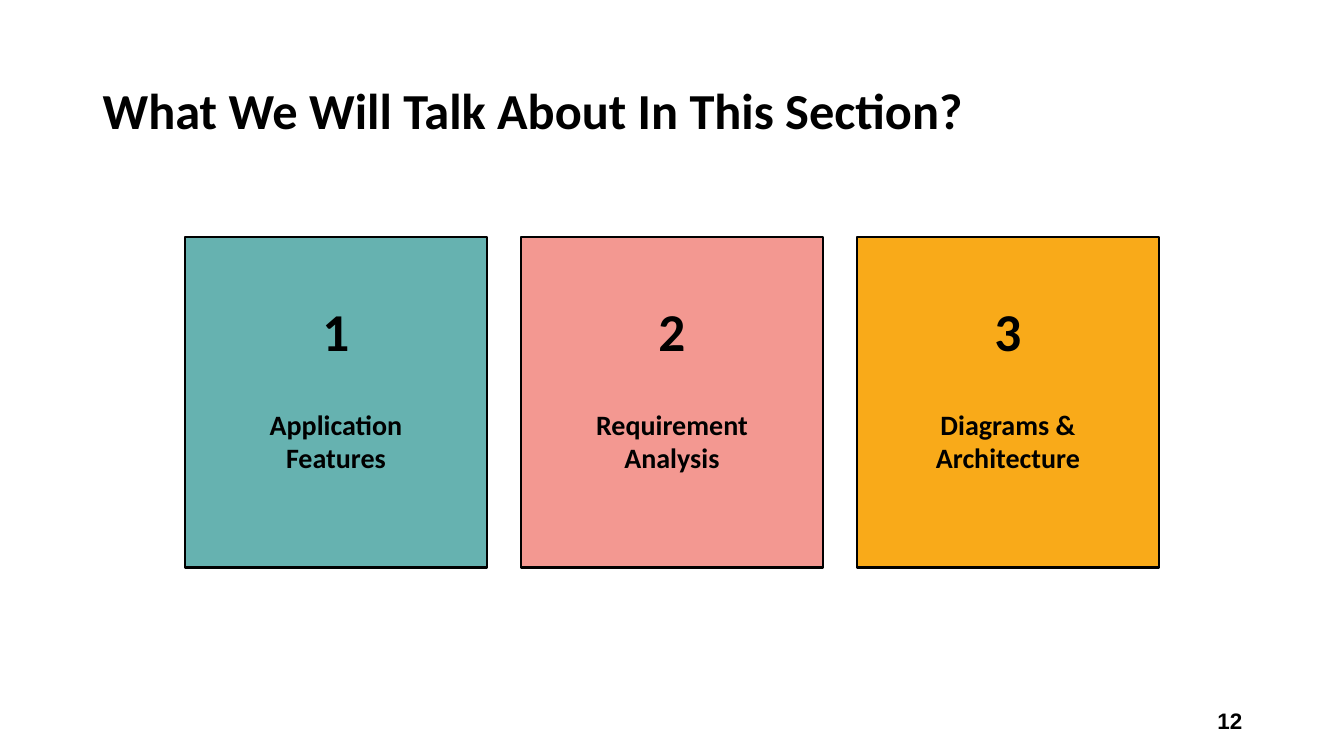
from pptx import Presentation
from pptx.dml.color import RGBColor
from pptx.enum.shapes import MSO_SHAPE
from pptx.enum.text import MSO_ANCHOR, PP_ALIGN
from pptx.util import Inches, Pt

TITLE = "What We Will Talk About In This Section?"
PAGE_NUMBER = "12"
TOPICS = [
    ("1", "Application Features", "66B2B0"),
    ("2", "Requirement Analysis", "F39891"),
    ("3", "Diagrams & Architecture", "F9AA19"),
]
INK = "000000"
WIDTH, HEIGHT = 13.33, 7.5
COLUMN = WIDTH / 40
FIRST_CARD, CARD_SPAN, CARD_PITCH = 5.5, 9, 10
CARD_TOP, CARD_HEIGHT = 2.35, 3.28
LABEL_TOP, LABEL_HEIGHT, LABEL_INDENT = 3.99, 0.8, 0.25


def color(value):
    return RGBColor.from_string(value)


def write(box, text, size, align, anchor=MSO_ANCHOR.TOP, spacing=1.0, font="Calibri"):
    frame = box.text_frame
    frame.word_wrap = True
    frame.vertical_anchor = anchor
    frame.text = text
    para = frame.paragraphs[0]
    para.alignment = align
    para.line_spacing = spacing
    para.font.size = Pt(size)
    para.font.bold = True
    para.font.name = font
    para.font.color.rgb = color(INK)


def add_text(page, place, *style, **options):
    box = page.shapes.add_textbox(*map(Inches, place))
    write(box, *style, **options)


def add_card(page, left, number, label, fill):
    width = CARD_SPAN * COLUMN
    card = page.shapes.add_shape(
        MSO_SHAPE.RECTANGLE, *map(Inches, (left, CARD_TOP, width, CARD_HEIGHT)))
    card.shadow.inherit = False
    card.fill.solid()
    card.fill.fore_color.rgb = color(fill)
    card.line.color.rgb = color(INK)
    card.line.width = Pt(1.75)
    card.text_frame.margin_top = Inches(0.68)
    write(card, number, 38, PP_ALIGN.CENTER, spacing=0.9)
    add_text(page, (left + LABEL_INDENT, LABEL_TOP, width - 2 * LABEL_INDENT, LABEL_HEIGHT),
             label, 20, PP_ALIGN.CENTER)


def main():
    deck = Presentation()
    deck.slide_width, deck.slide_height = Inches(WIDTH), Inches(HEIGHT)
    page = deck.slides.add_slide(deck.slide_layouts[6])
    add_text(page, (0.92, 0.4, 11.5, 1.45), TITLE, 36, PP_ALIGN.LEFT,
             anchor=MSO_ANCHOR.MIDDLE, spacing=0.9)
    for index, topic in enumerate(TOPICS):
        add_card(page, (FIRST_CARD + index * CARD_PITCH) * COLUMN, *topic)
    add_text(page, (9.42, 6.95, 3, 0.4), PAGE_NUMBER, 16, PP_ALIGN.RIGHT,
             anchor=MSO_ANCHOR.MIDDLE, font="Arial")
    deck.save("out.pptx")


if __name__ == "__main__":
    main()
